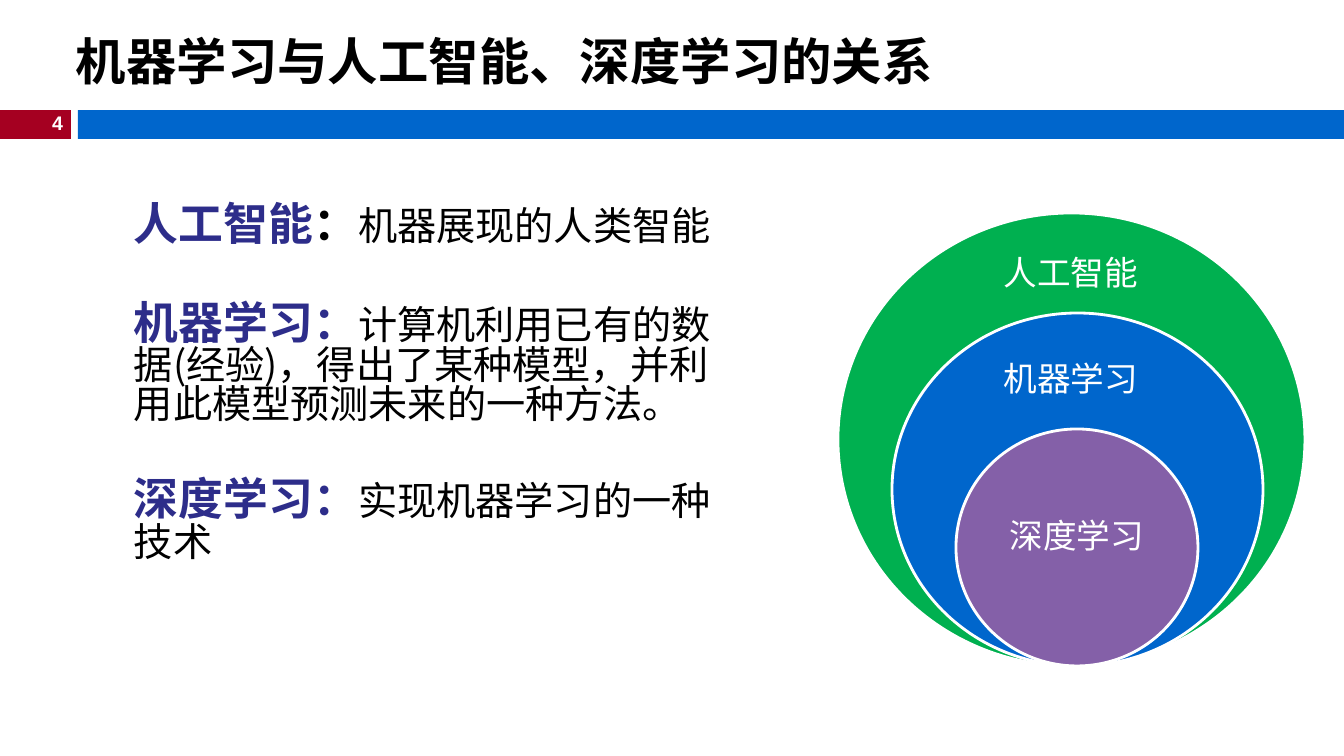
from lxml import etree
from pptx import Presentation
from pptx.dml.color import RGBColor
from pptx.enum.shapes import MSO_SHAPE
from pptx.enum.text import MSO_ANCHOR, PP_ALIGN
from pptx.oxml.ns import qn
from pptx.util import Pt

PX = 9071.43
RECTANGLE, OVAL = MSO_SHAPE.RECTANGLE, MSO_SHAPE.OVAL
TOP, MIDDLE = MSO_ANCHOR.TOP, MSO_ANCHOR.MIDDLE
LEFT, CENTER, RIGHT = PP_ALIGN.LEFT, PP_ALIGN.CENTER, PP_ALIGN.RIGHT
LATIN, CHINESE = "Arial", "Noto Sans CJK SC"

COLORS = {
    "black": "000000", "white": "FFFFFF", "term": "2D2D8A", "red": "A50021",
    "blue": "0066CC", "green": "00B050", "purple": "8460A8",
}

TITLE = "机器学习与人工智能、深度学习的关系"
PAGE_NUMBER = "4"
BARS = [("red", (0, 110, 71, 29)), ("blue", (78, 110, 1266, 29))]
DEFINITIONS = [
    [("人工智能", 32, "term", True), ("：", 32, "black", True),
     ("机器展现的人类智能", 28, "black", False)],
    [("机器学习：", 32, "term", True),
     ("计算机利用已有的数据(经验)，得出了某种模型，并利用此模型预测未来的一种方法。",
      28, "black", False)],
    [("深度学习：", 32, "term", True),
     ("实现机器学习的一种技术", 28, "black", False)],
]
RINGS = [
    ("人工智能", "green", (838, 213, 467, 453), (993, 247)),
    ("机器学习", "blue", (892, 313, 371, 353), (993, 353)),
    ("深度学习", "purple", (956, 429, 242, 237), (999, 510)),
]
LABEL_SIZE = (156, 50)


def emu(lengths):
    return [round(length * PX) for length in lengths]


def color(name):
    return RGBColor.from_string(COLORS[name])


def style(font, size, shade, bold=False, face=CHINESE):
    font.size, font.bold, font.name = Pt(size), bold, face
    font.color.rgb = color(shade)


def add_span(para, text):
    span = para.add_run()
    span.text = text
    east_asian = etree.SubElement(span.font._element, qn("a:ea"))
    east_asian.set("typeface", CHINESE)
    return span


def add_box(page, place, anchor=MIDDLE):
    frame = page.shapes.add_textbox(*emu(place)).text_frame
    frame.word_wrap = True
    frame.vertical_anchor = anchor
    frame.margin_left, frame.margin_right = emu((10, 10))
    frame.margin_top = frame.margin_bottom = 0
    return frame


def add_line(page, place, text, size, shade, align, bold=False, face=CHINESE):
    para = add_box(page, place).paragraphs[0]
    para.alignment = align
    add_span(para, text)
    style(para.font, size, shade, bold, face)


def add_figure(page, kind, place, fill, outlined=False):
    shape = page.shapes.add_shape(kind, *emu(place))
    shape.shadow.inherit = False
    shape.fill.solid()
    shape.fill.fore_color.rgb = color(fill)
    if outlined:
        shape.line.color.rgb = color("white")
        shape.line.width = Pt(2)
    else:
        shape.line.fill.background()


def add_definitions(page):
    frame = add_box(page, (124, 205, 621, 420), TOP)
    for index, parts in enumerate(DEFINITIONS):
        para = frame.add_paragraph() if index else frame.paragraphs[0]
        para.line_spacing = 0.83
        if index:
            para.space_before = Pt(38.5)
        for text, size, shade, bold in parts:
            style(add_span(para, text).font, size, shade, bold)


def main():
    deck = Presentation()
    deck.slide_width, deck.slide_height = emu((1344, 756))
    page = deck.slides.add_slide(deck.slide_layouts[6])
    for fill, place in BARS:
        add_figure(page, RECTANGLE, place, fill)
    add_line(page, (29, 106, 44, 34), PAGE_NUMBER, 14, "white", RIGHT, True, LATIN)
    add_line(page, (66, 10, 961, 100), TITLE, 36, "black", LEFT, True, LATIN)
    add_definitions(page)
    for label, fill, place, corner in RINGS:
        add_figure(page, OVAL, place, fill, True)
    for label, fill, place, corner in RINGS:
        add_line(page, corner + LABEL_SIZE, label, 24, "white", CENTER)
    deck.save("out.pptx")


if __name__ == "__main__":
    main()
